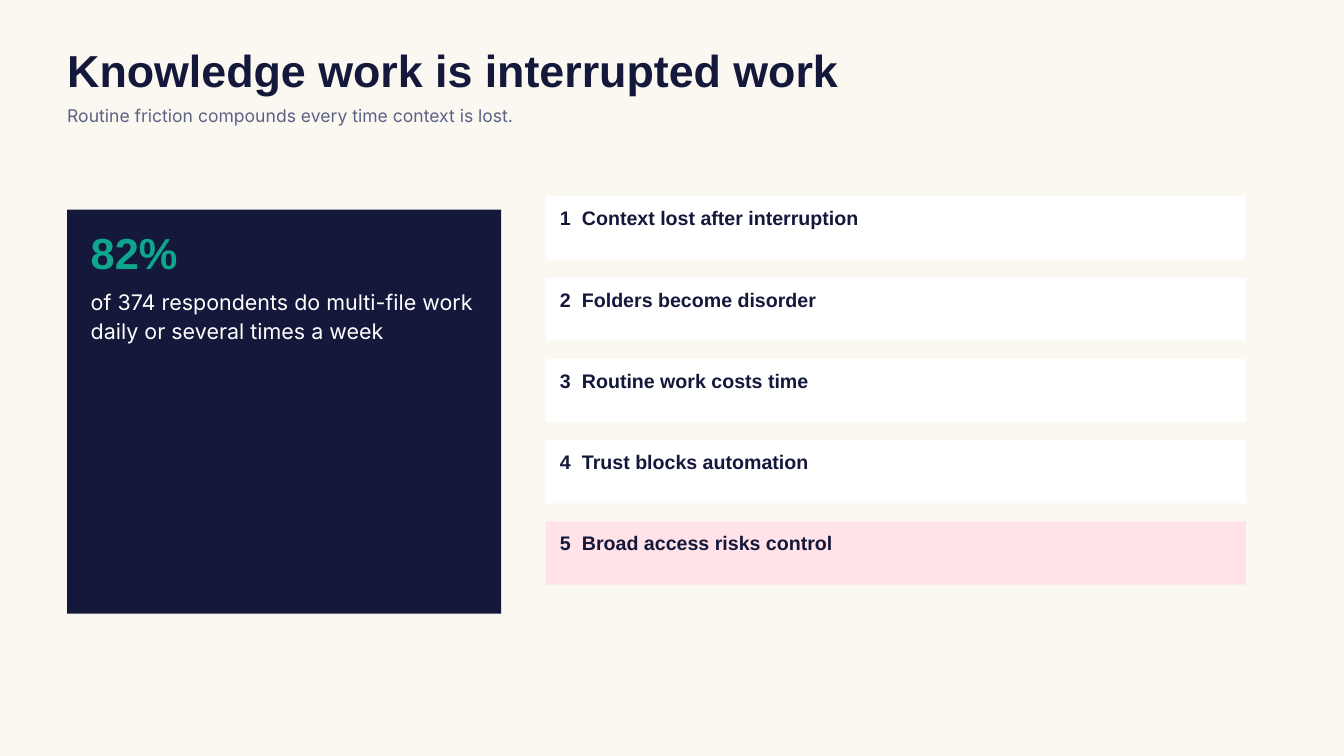
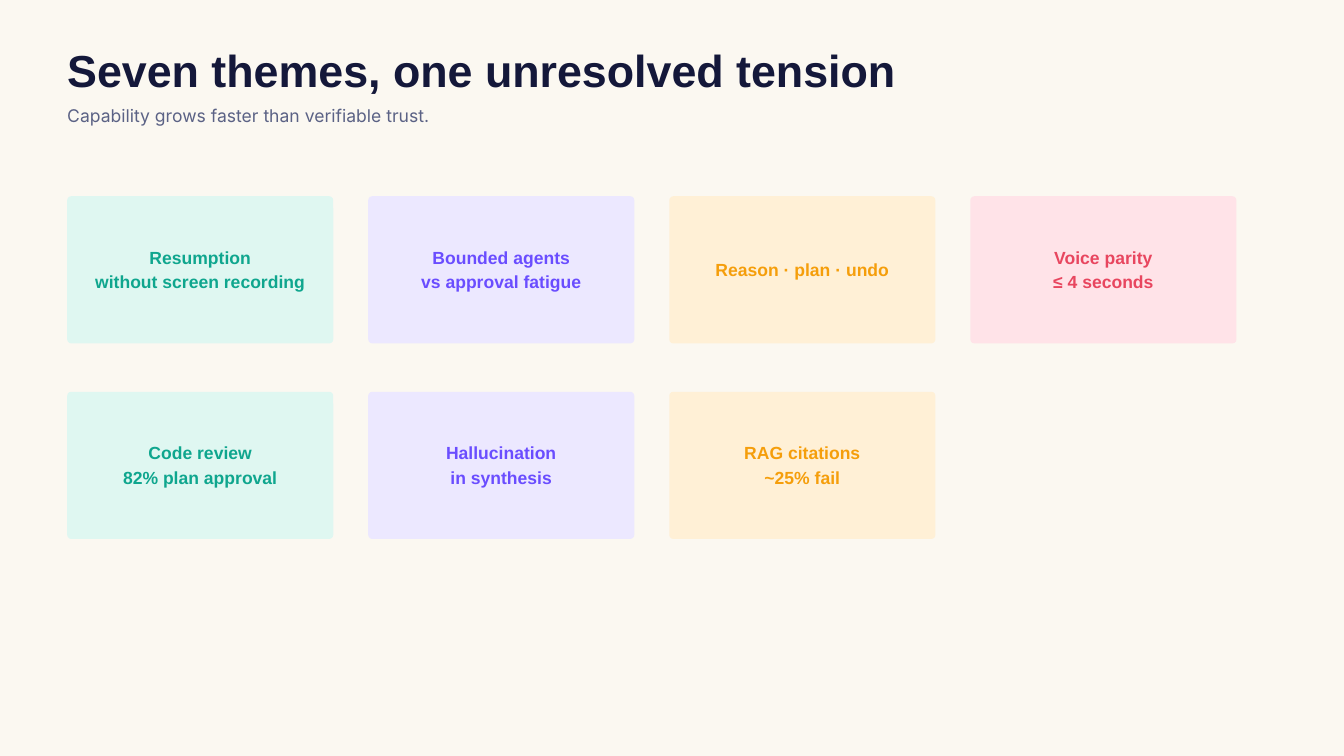
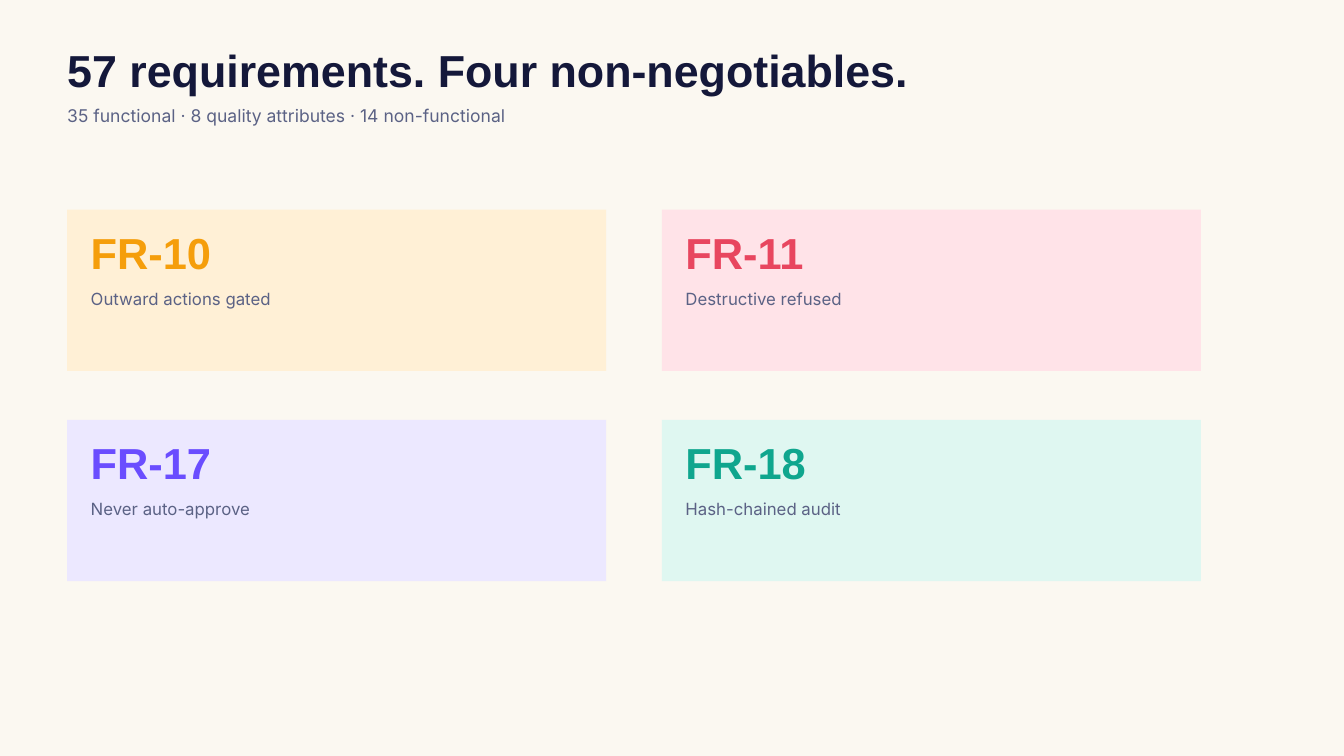
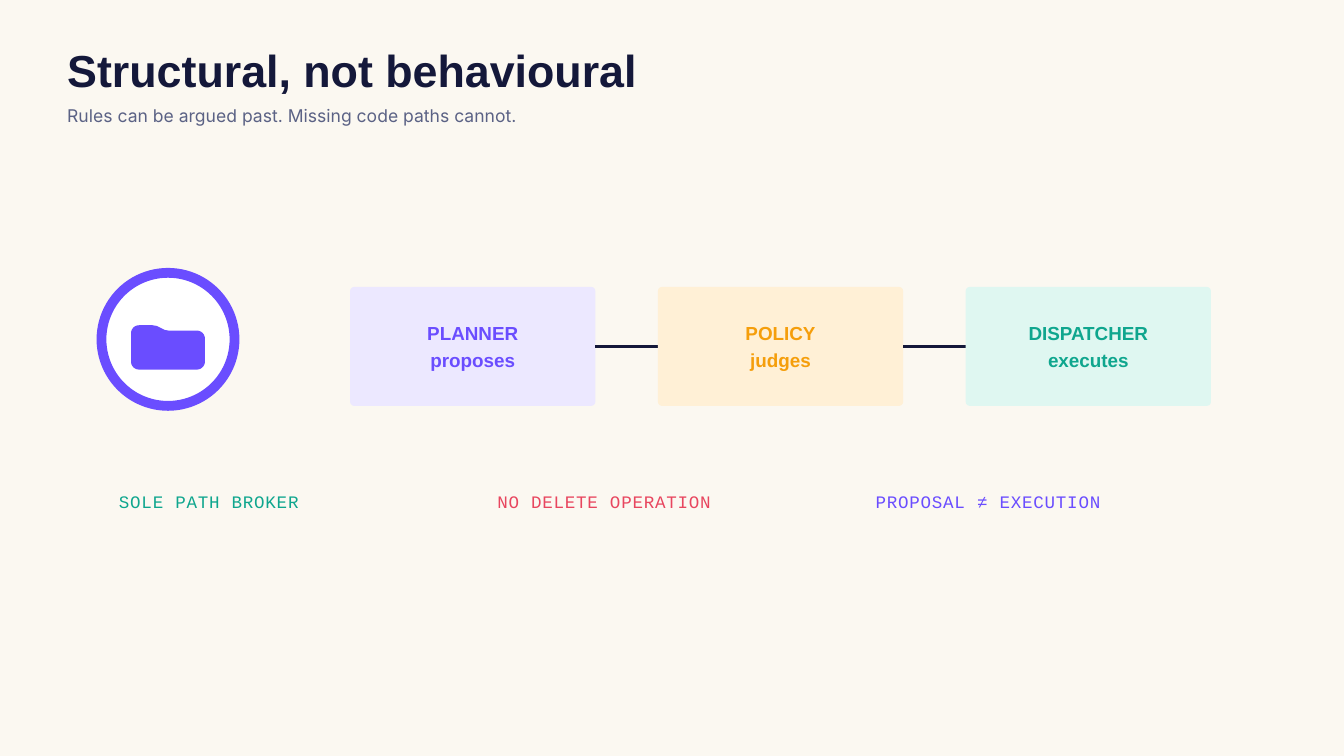
from math import cos, radians, sin

from lxml.etree import SubElement
from pptx import Presentation
from pptx.dml.color import RGBColor
from pptx.enum.shapes import MSO_CONNECTOR, MSO_SHAPE
from pptx.enum.text import MSO_ANCHOR, PP_ALIGN
from pptx.oxml.ns import qn
from pptx.util import Inches, Pt

CREAM = RGBColor(0xFB, 0xF8, 0xF1)
NAVY = RGBColor(0x14, 0x18, 0x3A)
SLATE = RGBColor(0x5B, 0x62, 0x85)
WHITE = RGBColor(0xFF, 0xFF, 0xFF)
TEAL = RGBColor(0x0F, 0xA6, 0x8E)
VIOLET = RGBColor(0x6A, 0x4D, 0xFF)
AMBER = RGBColor(0xF5, 0x9E, 0x0B)
ROSE = RGBColor(0xE8, 0x46, 0x5F)
TINTS = {
    TEAL: RGBColor(0xDF, 0xF7, 0xF1),
    VIOLET: RGBColor(0xEC, 0xE8, 0xFF),
    AMBER: RGBColor(0xFF, 0xF0, 0xD6),
    ROSE: RGBColor(0xFF, 0xE3, 0xE8),
}

HEADING, BODY, CODE = "Arial", "Inter", "Courier New"
MARGIN = 1
CORNER = 0.06
PANEL_INSET = 0.35


def write(frame, text, *, font=BODY, size=18.8, color=NAVY, bold=False,
          spacing=25.3, align=PP_ALIGN.LEFT, tracking=0, tab=None):
    """Fill a text frame, one paragraph a line; sizes and spacing in points."""
    frame.word_wrap = True
    for index, line in enumerate(text.split("\n")):
        para = frame.add_paragraph() if index else frame.paragraphs[0]
        para.alignment = align
        para.line_spacing = Pt(spacing)
        if tab:
            stops = SubElement(para._p.get_or_add_pPr(), qn("a:tabLst"))
            SubElement(stops, qn("a:tab"), pos=str(Inches(tab)), algn="l")
        span = para.add_run()
        span.text = line
        span.font.name = font
        span.font.size = Pt(size)
        span.font.bold = bold
        span.font.color.rgb = color
        if tracking:
            span._r.get_or_add_rPr().set("spc", str(round(tracking * 100)))


def set_margins(frame, left, top, right, bottom):
    frame.margin_left, frame.margin_top = Inches(left), Inches(top)
    frame.margin_right, frame.margin_bottom = Inches(right), Inches(bottom)


class DeckBuilder:
    """Holds the deck and the slide being filled; all lengths are in inches."""

    def __init__(self):
        self.deck = Presentation()
        self.deck.slide_width = Inches(20)
        self.deck.slide_height = Inches(11.25)
        self.page = None

    def start_page(self, title, subtitle):
        self.page = self.deck.slides.add_slide(self.deck.slide_layouts[6])
        self.page.background.fill.solid()
        self.page.background.fill.fore_color.rgb = CREAM
        self.text(title, MARGIN, 0.73, 15.62, 0.82, font=HEADING, size=48,
                  bold=True, spacing=50.4)
        self.text(subtitle, MARGIN, 1.53, 15.62, 0.34, color=SLATE)

    def text(self, text, left, top, width, height, **style):
        box = self.page.shapes.add_textbox(
            Inches(left), Inches(top), Inches(width), Inches(height))
        set_margins(box.text_frame, 0, 0, 0, 0)
        write(box.text_frame, text, **style)

    def paint(self, shape, fill, outline=None, weight=0):
        shape.shadow.inherit = False
        shape.fill.solid()
        shape.fill.fore_color.rgb = fill
        if outline is None:
            shape.line.fill.background()
        else:
            shape.line.color.rgb = outline
            shape.line.width = Pt(weight)

    def shape(self, kind, left, top, width, height, fill, **outline):
        shape = self.page.shapes.add_shape(
            kind, Inches(left), Inches(top), Inches(width), Inches(height))
        self.paint(shape, fill, **outline)
        return shape

    def panel(self, figure, caption, left, top, width, height, fill, accent, **caption_style):
        """Draw a filled block with a large figure above its caption."""
        self.shape(MSO_SHAPE.RECTANGLE, left, top, width, height, fill)
        inner_left, inner_width = left + PANEL_INSET, width - 2 * PANEL_INSET
        self.text(figure, inner_left, top + 0.34, inner_width, 0.8, font=HEADING,
                  size=46.5, color=accent, bold=True, spacing=48.8)
        self.text(caption, inner_left, top + 1.14, inner_width, 0.84, **caption_style)

    def card(self, text, left, top, width, height, accent, **style):
        """Draw a tinted rounded box with centred text in its accent colour."""
        card = self.shape(MSO_SHAPE.ROUNDED_RECTANGLE, left, top, width, height,
                          TINTS[accent])
        card.adjustments[0] = CORNER / min(width, height)
        set_margins(card.text_frame, 0.06, 0, 0.06, 0.06)
        card.text_frame.vertical_anchor = MSO_ANCHOR.MIDDLE
        write(card.text_frame, text, font=HEADING, color=accent, bold=True,
              align=PP_ALIGN.CENTER, **style)

    def link(self, start, end, y):
        line = self.page.shapes.add_connector(
            MSO_CONNECTOR.STRAIGHT, Inches(start), Inches(y), Inches(end), Inches(y))
        line.line.color.rgb = NAVY
        line.line.width = Pt(3.75)
        SubElement(line._element.spPr, qn("a:effectLst"))

    def outline(self, points, fill):
        corners = [(Inches(x), Inches(y)) for x, y in points]
        builder = self.page.shapes.build_freeform(*corners[0])
        builder.add_line_segments(corners[1:], close=True)
        self.paint(builder.convert_to_shape(), fill)


def rounded_corner(x, y, start, radius=0.12):
    """Return points of a quarter circle about (x, y), falling from start degrees."""
    angles = [radians(start - step) for step in range(0, 91, 10)]
    return [(x + radius * cos(angle), y + radius * sin(angle)) for angle in angles]


def folder_points():
    tab_slope = [(2.51, 4.92), (2.45, 4.91), (2.39, 4.88), (2.33, 4.85), (2.27, 4.84)]
    return (rounded_corner(2.07, 5.38, 180) + rounded_corner(2.93, 5.38, 90)
            + rounded_corner(2.93, 5.04, 0) + tab_slope
            + rounded_corner(2.07, 4.96, -90))


def add_interruptions(builder):
    builder.start_page("Knowledge work is interrupted work",
                       "Routine friction compounds every time context is lost.")
    builder.panel("82%", "of 374 respondents do multi-file work daily or several times a week",
                  MARGIN, 3.12, 6.46, 6.01, NAVY, TEAL, size=23, color=WHITE, spacing=31)
    problems = ["Context lost after interruption", "Folders become disorder",
                "Routine work costs time", "Trust blocks automation",
                "Broad access risks control"]
    for index, problem in enumerate(problems):
        top = 2.92 + 1.21 * index
        fill = TINTS[ROSE] if problem == problems[-1] else WHITE
        builder.shape(MSO_SHAPE.RECTANGLE, 8.12, top, 10.42, 0.94, fill)
        builder.text(f"{index + 1}\t{problem}", 8.33, top + 0.19, 9.79, 0.36,
                     font=HEADING, size=21, bold=True, spacing=22.1, tab=0.33)


def add_themes(builder):
    builder.start_page("Seven themes, one unresolved tension",
                       "Capability grows faster than verifiable trust.")
    themes = ["Resumption\nwithout screen recording", "Bounded agents\nvs approval fatigue",
              "Reason · plan · undo", "Voice parity\n≤ 4 seconds",
              "Code review\n82% plan approval", "Hallucination\nin synthesis",
              "RAG citations\n~25% fail"]
    accents = [TEAL, VIOLET, AMBER, ROSE]
    for index, theme in enumerate(themes):
        row, column = divmod(index, len(accents))
        builder.card(theme, MARGIN + 4.48 * column, 2.92 + 2.91 * row, 3.96, 2.19,
                     accents[column], spacing=26.2)


def add_requirements(builder):
    builder.start_page("57 requirements. Four non-negotiables.",
                       "35 functional · 8 quality attributes · 14 non-functional")
    requirements = [("FR-10", "Outward actions gated", AMBER),
                    ("FR-11", "Destructive refused", ROSE),
                    ("FR-17", "Never auto-approve", VIOLET),
                    ("FR-18", "Hash-chained audit", TEAL)]
    for index, (code, rule, accent) in enumerate(requirements):
        row, column = divmod(index, 2)
        builder.panel(code, rule, MARGIN + 8.85 * column, 3.12 + 3.13 * row, 8.02, 2.4,
                      TINTS[accent], accent, size=18, color=SLATE, spacing=24.3)


def add_structure(builder):
    builder.start_page("Structural, not behavioural",
                       "Rules can be argued past. Missing code paths cannot.")
    builder.shape(MSO_SHAPE.OVAL, 1.51, 4.06, 1.98, 1.98, WHITE, outline=VIOLET, weight=10.5)
    builder.outline(folder_points(), VIOLET)

    stages = [("PLANNER\nproposes", VIOLET), ("POLICY\njudges", AMBER),
              ("DISPATCHER\nexecutes", TEAL)]
    width, step = 3.65, 4.58
    for index, (stage, accent) in enumerate(stages):
        left = 5.21 + step * index
        if index:
            builder.link(left - step + width, left, 5.16)
        builder.card(stage, left, 4.27, width, 1.77, accent, size=20.2, spacing=28.4)

    guarantees = [("SOLE PATH BROKER", TEAL), ("NO DELETE OPERATION", ROSE),
                  ("PROPOSAL ≠ EXECUTION", VIOLET)]
    for index, (guarantee, accent) in enumerate(guarantees):
        builder.text(guarantee, 1.77 + 5.63 * index, 7.25, 5.21, 0.35, font=CODE,
                     color=accent, spacing=26.2, tracking=0.8)


def main():
    builder = DeckBuilder()
    add_interruptions(builder)
    add_themes(builder)
    add_requirements(builder)
    add_structure(builder)
    builder.deck.save("out.pptx")


if __name__ == "__main__":
    main()
